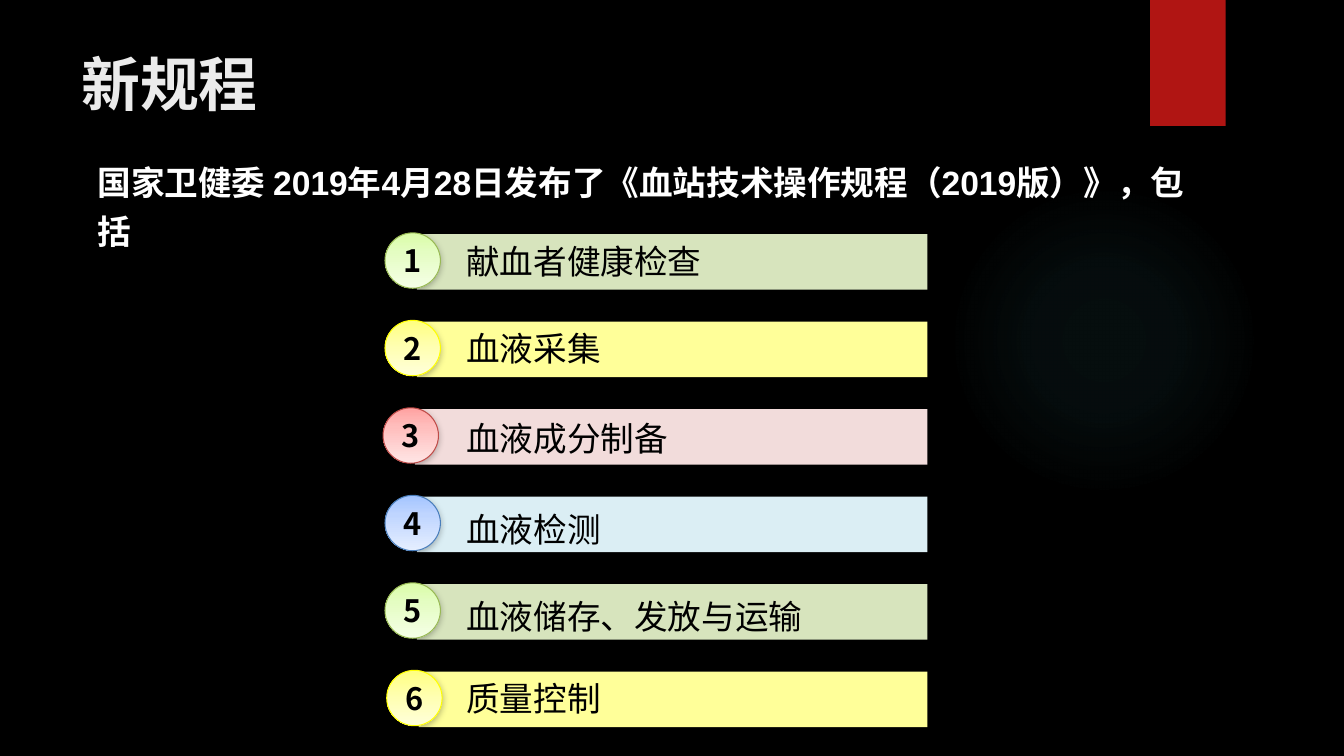
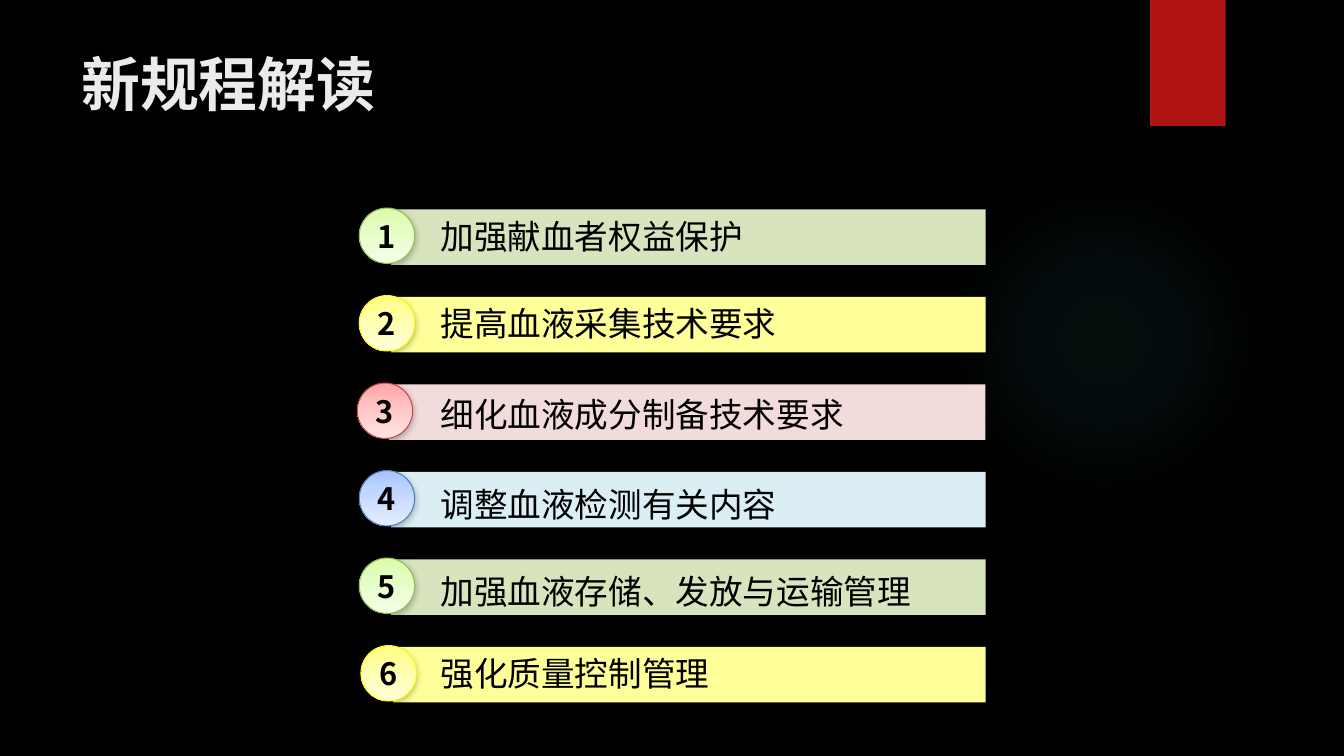
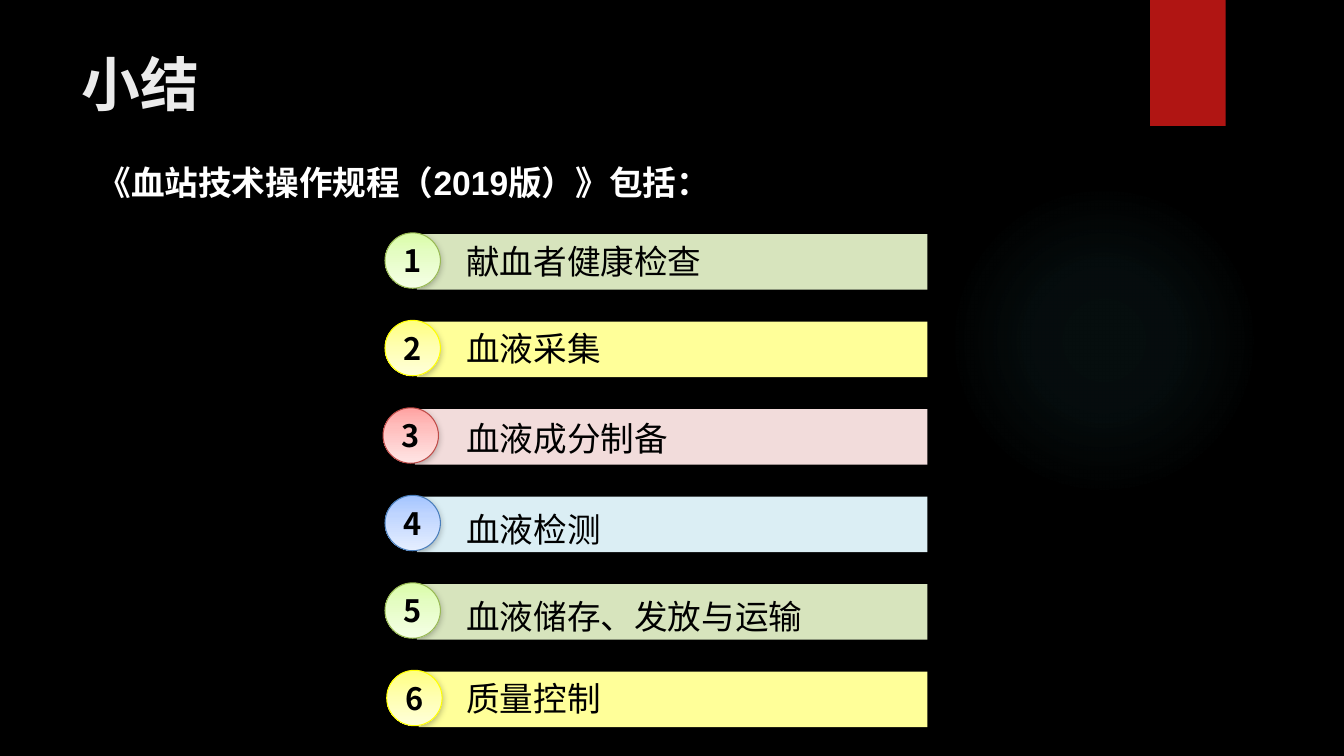
import pptx
import pptx.util
import pptx.dml.color
import pptx.enum.shapes
import pptx.enum.text
import pptx.oxml
import pptx.oxml.ns

Pt = pptx.util.Pt
SHAPES = pptx.enum.shapes.MSO_SHAPE
ANCHOR = pptx.enum.text.MSO_ANCHOR
ALIGN = pptx.enum.text.PP_ALIGN
NAMESPACE = pptx.oxml.ns.nsdecls("a")
CJK_FONT = "Noto Sans CJK SC"

TITLE = {"name": "TeX Gyre Adventor", "size": Pt(42), "bold": True, "color": "EBEBEB"}
LEAD = {"name": "Arial", "size": Pt(24), "bold": True, "color": "FFFFFF"}
NUMBER = {"name": CJK_FONT, "size": Pt(22), "bold": True, "color": "000000"}
ITEM = {"name": CJK_FONT, "size": Pt(24), "bold": False, "color": "000000"}

GREEN = {"bar": "D7E4BD", "line": "98B954",
         "stops": [(0, "DAFDA7", 100), (35, "E4FDC2", 100), (100, "F5FFE6", 100)]}
YELLOW = {"bar": "FFFF99", "line": "FFFF00",
          "stops": [(0, "FFFF80", 100), (50, "FFFFB3", 100), (100, "FFFFDA", 100)]}
RED = {"bar": "F2DCDB", "line": "BE4B48",
       "stops": [(0, "FFA2A1", 100), (35, "FFBEBD", 100), (100, "FFE5E5", 100)]}
BLUE = {"bar": "DBEEF4", "line": "4A7EBB",
        "stops": [(0, "A3C4FF", 100), (35, "BFD5FF", 100), (100, "E5EEFF", 100)]}
GLOW_STOPS = [(0, "50B9C1", 7), (36, "50B9C1", 6), (69, "50B9C1", 0)]
LINEAR = '<a:lin ang="5400000" scaled="0"/>'
RADIAL = '<a:path path="circle"><a:fillToRect l="50000" t="50000" r="50000" b="50000"/></a:path>'

ROWS = [(GREEN, 0, 1), (YELLOW, 0, 1), (RED, -1.4, 3),
        (BLUE, 0, 5), (GREEN, 0, 5), (YELLOW, 1.2, 1)]
ROW_PITCH = 62.5
BAR_HEIGHT = 39.6

CHAPTERS = ["献血者健康检查", "血液采集", "血液成分制备", "血液检测", "血液储存、发放与运输", "质量控制"]
CHANGES = ["加强献血者权益保护", "提高血液采集技术要求", "细化血液成分制备技术要求",
           "调整血液检测有关内容", "加强血液存储、发放与运输管理", "强化质量控制管理"]


def rgb(value):
    return pptx.dml.color.RGBColor.from_string(value)


class Deck:
    """Holds the shared style and the slide being built."""

    def __init__(self):
        self.presentation = pptx.Presentation()
        self.presentation.slide_width = Pt(960)
        self.presentation.slide_height = Pt(540)
        background = self.presentation.slide_master.background.fill
        background.solid()
        background.fore_color.rgb = rgb("000000")
        self.slide = None

    def add_slide(self, title):
        self.slide = self.presentation.slides.add_slide(self.presentation.slide_layouts[6])
        glow = self.shape(self.slide.shapes, SHAPES.OVAL, 677.5, 131.8, 221.8, 221.8)
        self.gradient(glow, GLOW_STOPS, RADIAL)
        ribbon = self.shape(self.slide.shapes, SHAPES.RECTANGLE, 821.5, 0, 54, 90, "B01513")
        self.shadow(ribbon, 45, 3, 2)
        self.text_box(self.slide.shapes, title, 51, 36, 741, 70.6, TITLE, spacing=0.9)

    def shape(self, shapes, kind, left, top, width, height, color=None):
        shape = shapes.add_shape(kind, Pt(left), Pt(top), Pt(width), Pt(height))
        shape.shadow.inherit = False
        shape.line.fill.background()
        if color:
            shape.fill.solid()
            shape.fill.fore_color.rgb = rgb(color)
        return shape

    def gradient(self, shape, stops, direction):
        stop_xml = "".join(
            f'<a:gs pos="{position * 1000}"><a:srgbClr val="{color}">'
            f'<a:alpha val="{opacity * 1000}"/></a:srgbClr></a:gs>'
            for position, color, opacity in stops)
        shape.fill.gradient()
        properties = shape._element.spPr
        properties.replace(
            properties.find(pptx.oxml.ns.qn("a:gradFill")),
            pptx.oxml.parse_xml(f'<a:gradFill {NAMESPACE} rotWithShape="1">'
                                f'<a:gsLst>{stop_xml}</a:gsLst>{direction}</a:gradFill>'))

    def shadow(self, shape, opacity, blur, distance):
        effects = shape._element.spPr.find(pptx.oxml.ns.qn("a:effectLst"))
        effects.append(pptx.oxml.parse_xml(
            f'<a:outerShdw {NAMESPACE} blurRad="{Pt(blur)}" dist="{Pt(distance)}" '
            f'dir="5400000" rotWithShape="0"><a:srgbClr val="000000">'
            f'<a:alpha val="{opacity * 1000}"/></a:srgbClr></a:outerShdw>'))

    def add_text(self, paragraph, text, style):
        run = paragraph.add_run()
        run.text = text
        for name, value in style.items():
            if name == "color":
                run.font.color.rgb = rgb(value)
            else:
                setattr(run.font, name, value)
        run._r.rPr.find(pptx.oxml.ns.qn("a:latin")).addnext(
            pptx.oxml.parse_xml(f'<a:ea {NAMESPACE} typeface="{CJK_FONT}"/>'))

    def text_box(self, shapes, text, left, top, width, height, style, spacing=1.0):
        box = shapes.add_textbox(Pt(left), Pt(top), Pt(width), Pt(height))
        box.text_frame.word_wrap = True
        paragraph = box.text_frame.paragraphs[0]
        paragraph.line_spacing = spacing
        self.add_text(paragraph, text, style)

    def lead(self, text, width):
        self.text_box(self.slide.shapes, text, 62.6, 106.6, width, 41.8, LEAD, spacing=1.2)

    def badge(self, shapes, number, left, top, palette):
        badge = self.shape(shapes, SHAPES.OVAL, left, top, BAR_HEIGHT, BAR_HEIGHT)
        self.gradient(badge, palette["stops"], LINEAR)
        badge.line.color.rgb = rgb(palette["line"])
        badge.line.width = Pt(0.75)
        self.shadow(badge, 28, 5, 1.6)
        frame = badge.text_frame
        frame.vertical_anchor = ANCHOR.MIDDLE
        for side in ("left", "top", "right", "bottom"):
            setattr(frame, f"margin_{side}", 0)
        frame.paragraphs[0].alignment = ALIGN.CENTER
        self.add_text(frame.paragraphs[0], str(number), NUMBER)

    def numbered_bars(self, items, left, top, right):
        shapes = self.slide.shapes.add_group_shape().shapes
        for index, (item, (palette, nudge, drop)) in enumerate(zip(items, ROWS)):
            row_top = top + index * ROW_PITCH
            bar_left = left + nudge + 22.8
            self.shape(shapes, SHAPES.RECTANGLE, bar_left, row_top,
                       right - bar_left, BAR_HEIGHT, palette["bar"])
            self.badge(shapes, index + 1, left + nudge, row_top - 1, palette)
            self.text_box(shapes, item, left + 51, row_top + drop,
                          24 * len(item) + 16, 36, ITEM)


def main():
    deck = Deck()
    deck.add_slide("新规程")
    deck.lead("国家卫健委 2019年4月28日发布了《血站技术操作规程（2019版）》，包括", 802)
    deck.numbered_bars(CHAPTERS, 275, 167.3, 662.4)

    deck.add_slide("新规程解读")
    deck.numbered_bars(CHANGES, 256.6, 149.6, 704)

    deck.add_slide("小结")
    deck.lead("《血站技术操作规程（2019版）》包括：", 447)
    deck.numbered_bars(CHAPTERS, 275, 167.3, 662.4)
    deck.presentation.save("out.pptx")


if __name__ == "__main__":
    main()
